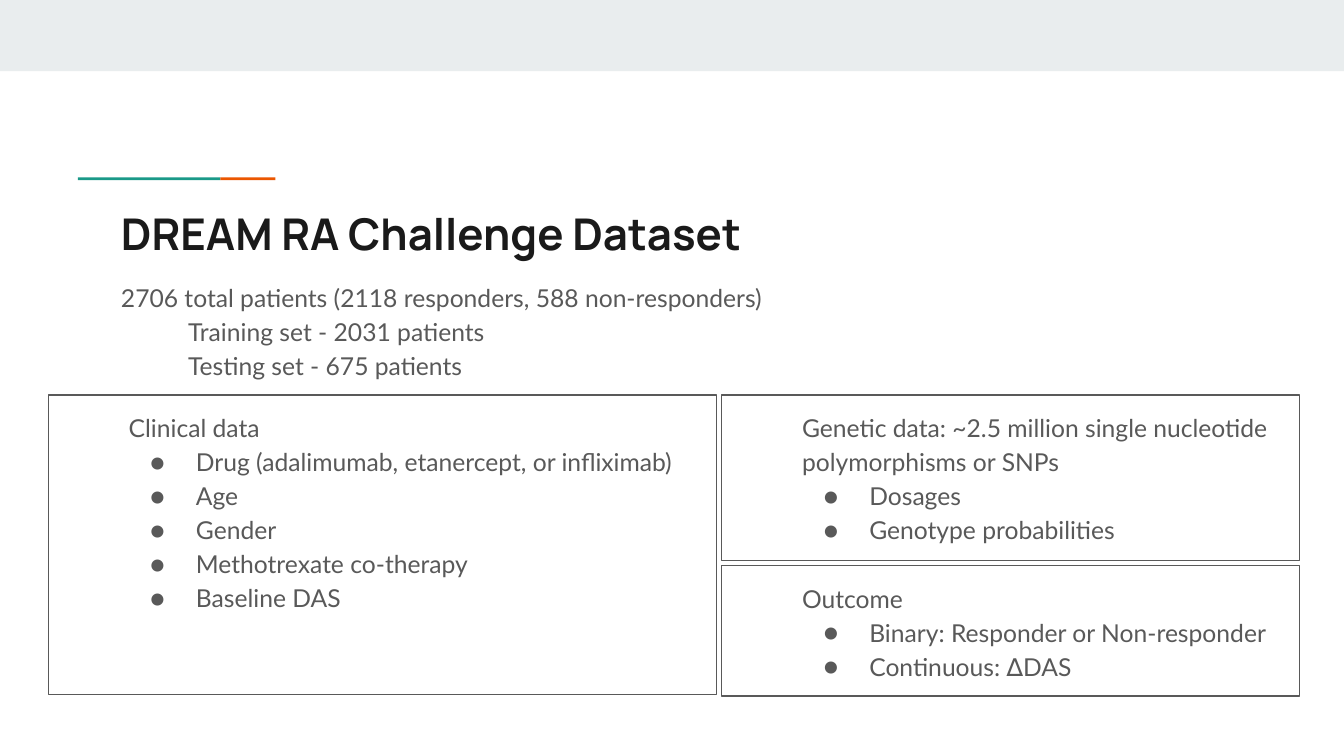
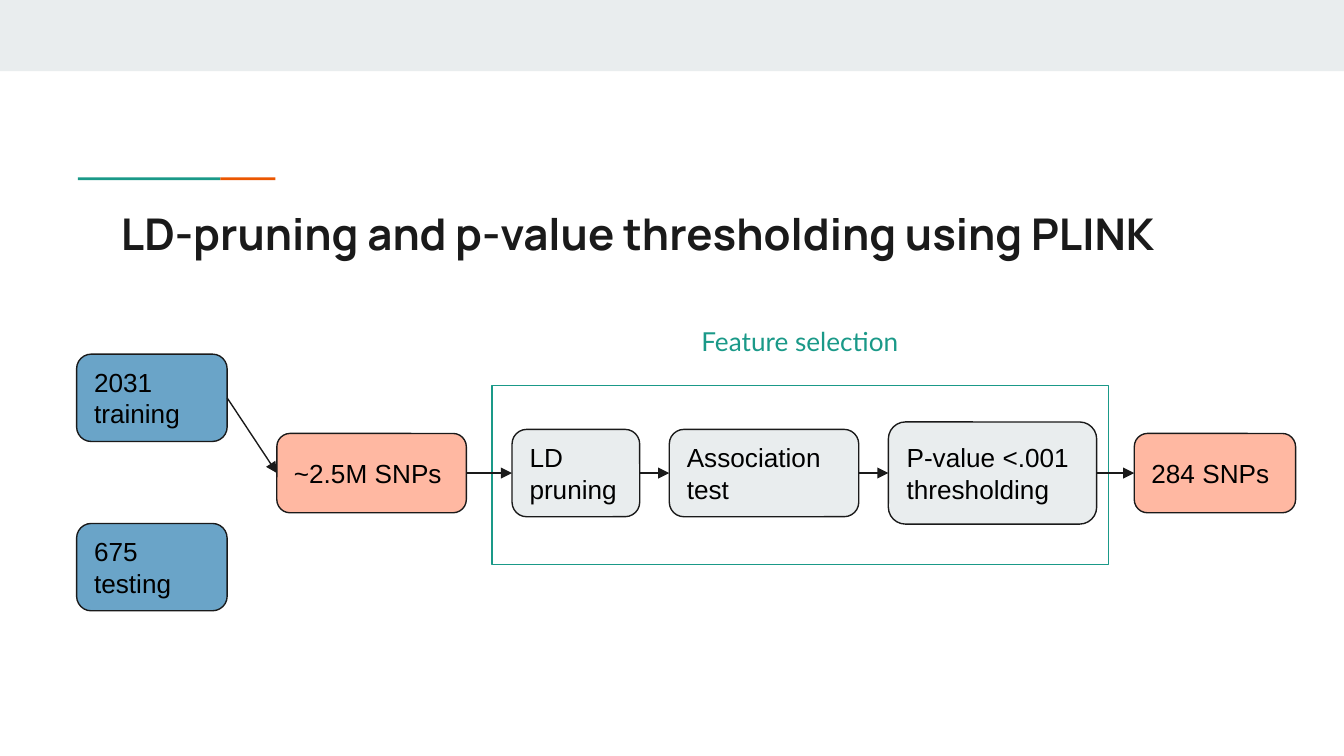
import pptx
import pptx.util
import pptx.dml.color
import pptx.enum.shapes
import pptx.enum.text
import pptx.oxml.ns
import lxml.etree

Inches = pptx.util.Inches
SHAPE = pptx.enum.shapes.MSO_SHAPE
ANCHOR = pptx.enum.text.MSO_ANCHOR

TEAL, ORANGE, BAND = "1A9988", "EB5600", "E9EDEE"
INK, GRAY, BLACK = "1A1A1A", "595959", "000000"
BLUE, SALMON = "6AA4C8", "FFB8A2"
CENTER_Y = 3.52


def rgb(color):
    return pptx.dml.color.RGBColor.from_string(color)


def sub(parent, tag, **attrs):
    return lxml.etree.SubElement(parent, pptx.oxml.ns.qn(tag), **attrs)


def place(sp, left, top, width, height):
    sp.left, sp.top = Inches(left), Inches(top)
    sp.width, sp.height = Inches(width), Inches(height)


def set_frame(tf, anchor=ANCHOR.TOP):
    tf.word_wrap = True
    tf.auto_size = pptx.enum.text.MSO_AUTO_SIZE.NONE
    tf.vertical_anchor = anchor
    tf.margin_left = tf.margin_right = Inches(0.1)
    tf.margin_top = tf.margin_bottom = Inches(0.1)


def set_bullet(p, indent, bullet, color):
    pPr = p._p.get_or_add_pPr()
    pPr.set("marL", str(Inches(indent)))
    pPr.set("indent", str(Inches(-0.34 if bullet else 0)))
    if bullet:
        sub(sub(pPr, "a:buClr"), "a:srgbClr", val=color)
        sub(pPr, "a:buFont", typeface="Lato")
        sub(pPr, "a:buChar", char="●")
    else:
        sub(pPr, "a:buNone")


def add_text(tf, text, size=13.2, font="Lato", color=GRAY, bold=False,
             indent=0, bullet=False, spacing=1.0):
    p = tf.add_paragraph() if tf.text else tf.paragraphs[0]
    p.alignment = pptx.enum.text.PP_ALIGN.LEFT
    p.line_spacing = spacing
    p.space_before = p.space_after = pptx.util.Pt(0)
    set_bullet(p, indent, bullet, color)
    r = p.add_run()
    r.text = text
    r.font.size = pptx.util.Pt(size)
    r.font.name = font
    r.font.bold = bold
    r.font.color.rgb = rgb(color)


def add_box(s, left, top, width, height, fill=None, line=None, kind=SHAPE.RECTANGLE):
    sp = s.shapes.add_shape(kind, Inches(left), Inches(top), Inches(width), Inches(height))
    sp.shadow.inherit = False
    if fill:
        sp.fill.solid()
        sp.fill.fore_color.rgb = rgb(fill)
    else:
        sp.fill.background()
    if line:
        sp.line.color.rgb = rgb(line)
        sp.line.width = pptx.util.Pt(0.75)
    else:
        sp.line.fill.background()
    return sp


def add_slide(prs, layout, title):
    s = prs.slides.add_slide(prs.slide_layouts[layout])
    add_box(s, 0, 0, 10, 0.53, fill=BAND)
    add_box(s, 0.58, 1.32, 1.06, 0.02, fill=TEAL)
    add_box(s, 1.64, 1.32, 0.41, 0.02, fill=ORANGE)
    sp = s.shapes.title
    place(sp, 0.8, 1.44, 8.41, 0.59)
    set_frame(sp.text_frame)
    add_text(sp.text_frame, title, size=23.4, font="Manrope", color=INK, bold=True)
    return s


def add_body(s, heading, items):
    sp = s.placeholders[1]
    place(sp, 0.8, 1.97, 8.41, 1.02)
    set_frame(sp.text_frame)
    add_text(sp.text_frame, heading, spacing=1.15)
    for item in items:
        add_text(sp.text_frame, item, indent=0.5, spacing=1.15)


def add_panel(s, left, top, width, height, heading, items):
    tf = add_box(s, left, top, width, height, line=GRAY).text_frame
    set_frame(tf)
    add_text(tf, heading, indent=0.5, spacing=1.15)
    for item in items:
        add_text(tf, item, indent=1, bullet=True, spacing=1.15)


def add_step(s, text, left, width, height, fill, center=CENTER_Y):
    sp = add_box(s, left, center - height / 2, width, height, fill, INK,
                 SHAPE.ROUNDED_RECTANGLE)
    set_frame(sp.text_frame, ANCHOR.MIDDLE)
    add_text(sp.text_frame, text, size=14, font="Arial", color=BLACK)
    return sp


def add_label(s, text, left, top, width, height, color):
    sp = s.shapes.add_textbox(Inches(left), Inches(top), Inches(width), Inches(height))
    set_frame(sp.text_frame)
    add_text(sp.text_frame, text, size=14, color=color)


def add_arrow(s, start, end):
    cx = s.shapes.add_connector(pptx.enum.shapes.MSO_CONNECTOR.STRAIGHT, 0, 0, 0, 0)
    cx.begin_connect(start, 3)
    cx.end_connect(end, 1)
    cx.line.color.rgb = rgb(INK)
    cx.line.width = pptx.util.Pt(0.75)
    spPr = cx._element.spPr
    sub(spPr.get_or_add_ln(), "a:tailEnd", type="triangle")
    sub(spPr, "a:effectLst")


def dataset_slide(prs):
    s = add_slide(prs, 1, "DREAM RA Challenge Dataset")
    add_body(s, "2706 total patients (2118 responders, 588 non-responders)",
             ["Training set - 2031 patients", "Testing set - 675 patients"])
    add_panel(s, 0.36, 2.94, 4.97, 2.23, "Clinical data",
              ["Drug (adalimumab, etanercept, or infliximab)", "Age", "Gender",
               "Methotrexate co-therapy", "Baseline DAS"])
    add_panel(s, 5.37, 2.94, 4.3, 1.23,
              "Genetic data: ~2.5 million single nucleotide polymorphisms or SNPs",
              ["Dosages", "Genotype probabilities"])
    add_panel(s, 5.37, 4.21, 4.3, 0.97, "Outcome",
              ["Binary: Responder or Non-responder", "Continuous: ∆DAS"])


def pruning_slide(prs):
    s = add_slide(prs, 5, "LD-pruning and p-value thresholding using PLINK")
    add_box(s, 3.66, 2.87, 4.59, 1.33, line=TEAL)
    add_label(s, "Feature selection", 5.12, 2.32, 1.76, 0.44, TEAL)
    training = add_step(s, "2031 training", 0.57, 1.12, 0.65, BLUE, center=2.96)
    add_step(s, "675 testing", 0.57, 1.12, 0.65, BLUE, center=4.22)
    steps = [
        ("~2.5M SNPs", 2.06, 1.41, 0.59, SALMON),
        ("LD pruning", 3.81, 0.95, 0.65, BAND),
        ("Association test", 4.98, 1.41, 0.65, BAND),
        ("P-value <.001 thresholding", 6.61, 1.55, 0.76, BAND),
        ("284 SNPs", 8.44, 1.2, 0.59, SALMON),
    ]
    chain = [training] + [add_step(s, *step) for step in steps]
    for start, end in zip(chain, chain[1:]):
        add_arrow(s, start, end)


def main():
    prs = pptx.Presentation()
    prs.slide_width = Inches(10)
    prs.slide_height = Inches(10) * 9 // 16
    dataset_slide(prs)
    pruning_slide(prs)
    prs.save("out.pptx")


if __name__ == "__main__":
    main()
